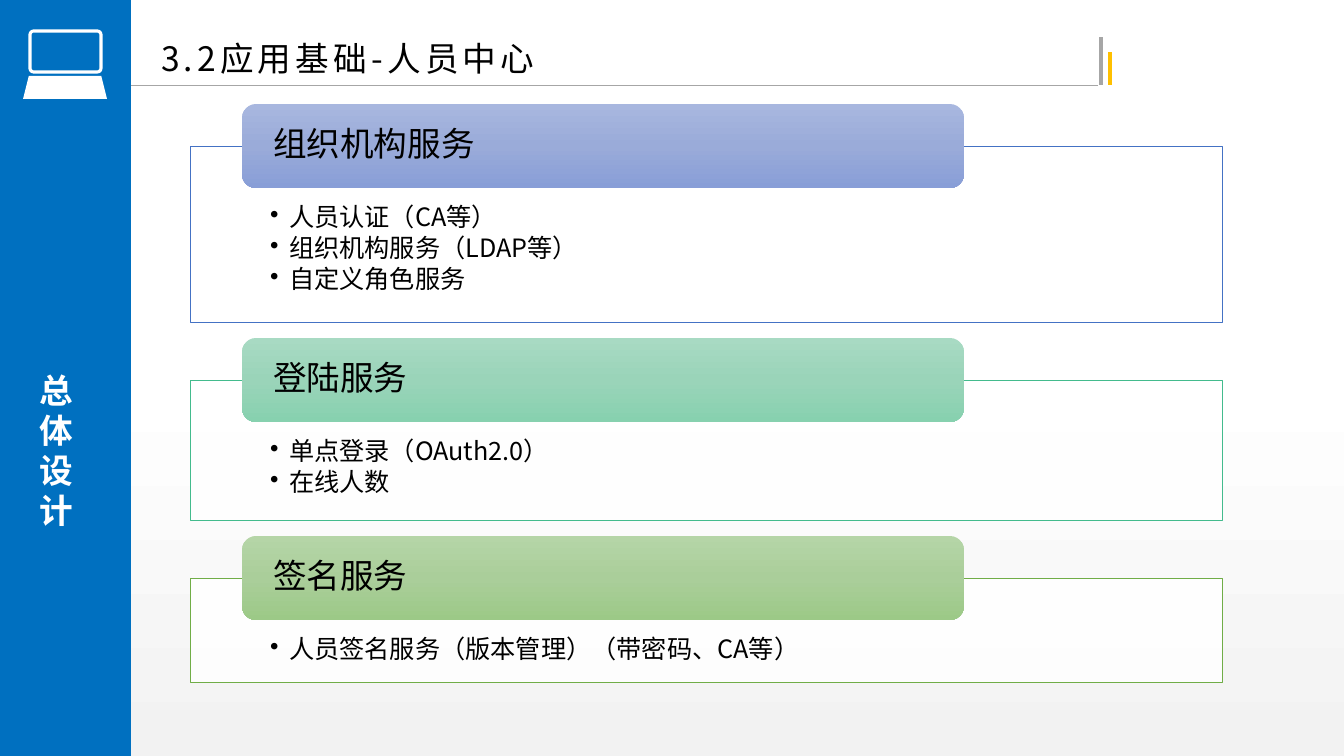
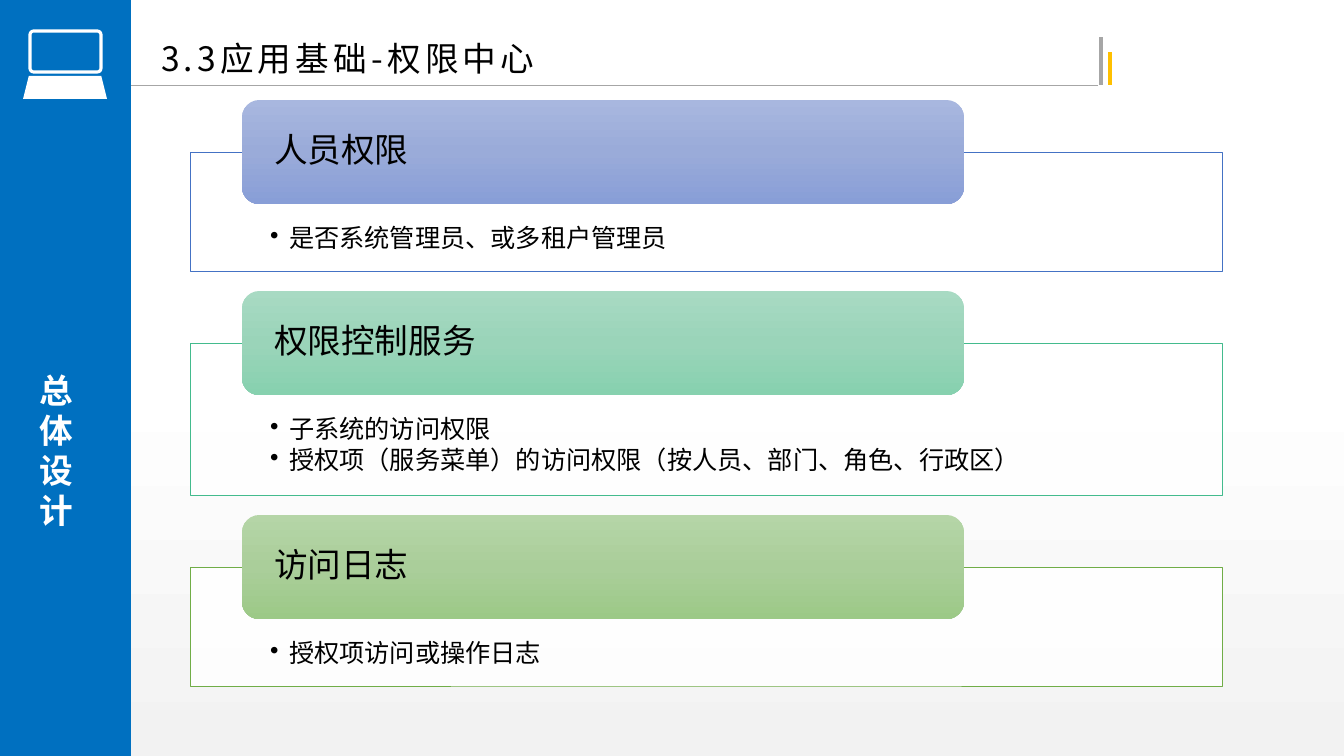
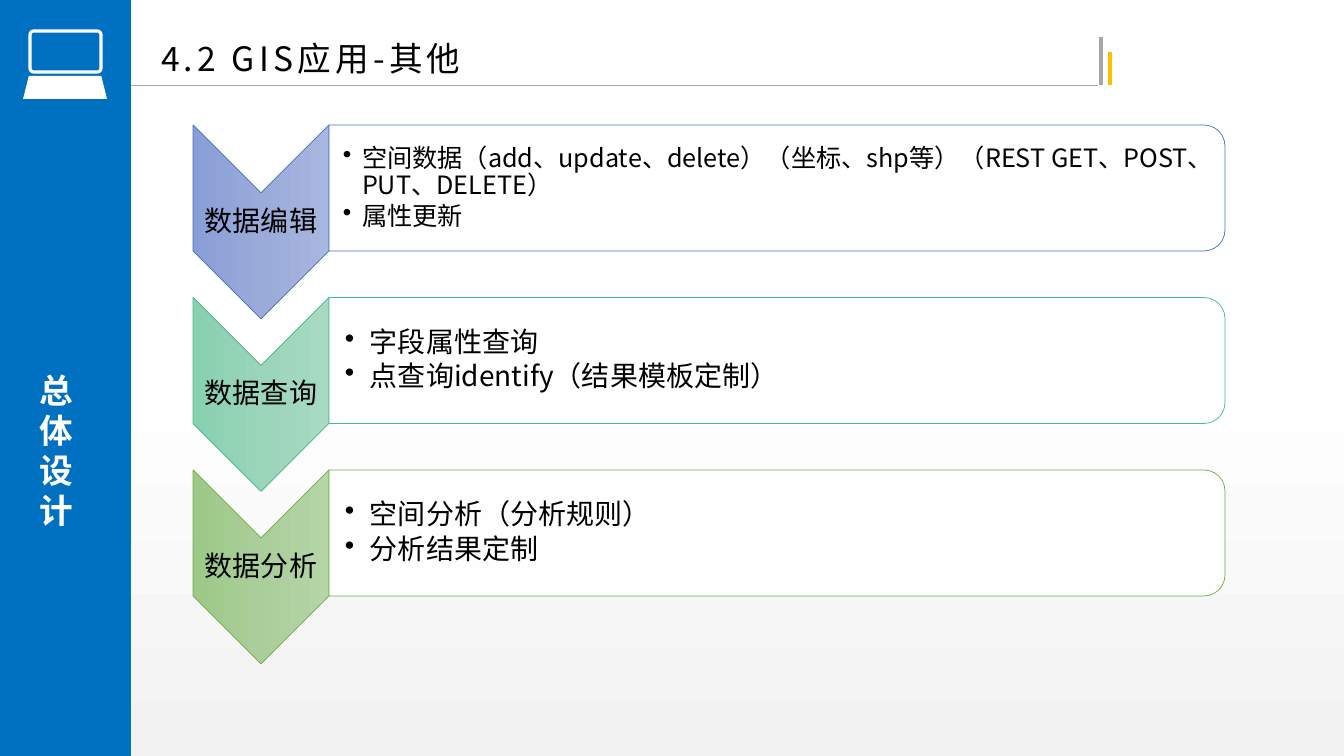
"""Build three slides on the overall design: personnel, permission and GIS services."""
from lxml.etree import SubElement
from pptx import Presentation
from pptx.dml.color import RGBColor
from pptx.enum.shapes import MSO_CONNECTOR as LINE, MSO_SHAPE as SHAPE
from pptx.enum.text import MSO_ANCHOR as ANCHOR, PP_ALIGN as ALIGN
from pptx.oxml.ns import qn
from pptx.util import Emu, Pt

PX = 914400 / 100.8
WIDTH, HEIGHT = 1344, 756
FONT = "Noto Sans CJK SC"
COLORS = {"bar": "0070C0", "white": "FFFFFF", "black": "000000", "gray": "A6A6A6", "gold": "FFC000"}
BACKDROP = [(0, "FFFFFF"), (50, "FFFFFF"), (100, "F2F2F2")]
THEMES = [
    {"line": "4472C4", "stops": [(0, "A8B7DF"), (50, "9AABD9"), (100, "889ED7")]},
    {"line": "43BB8D", "stops": [(0, "A8DAC3"), (50, "9AD4B9"), (100, "87D1AF")]},
    {"line": "70AD47", "stops": [(0, "B5D5A7"), (50, "AACE9A"), (100, "9CC987")]},
]
RULES = [
    ((0, 85, 1098, 85), "gray", 0.5),
    ((1101, 85, 1101, 37), "gray", 3),
    ((1110, 85, 1110, 52), "gold", 3),
]
SECTION = "总体设计"
BOX_SLIDES = [
    {
        "title": "3.2应用基础-人员中心",
        "layout": {"top": 104, "head": 84, "gap": 16, "base": 68, "row": 36, "inset": 59},
        "items": [
            ("组织机构服务", ["人员认证（CA等）", "组织机构服务（LDAP等）", "自定义角色服务"]),
            ("登陆服务", ["单点登录（OAuth2.0）", "在线人数"]),
            ("签名服务", ["人员签名服务（版本管理）（带密码、CA等）"]),
        ],
    },
    {
        "title": "3.3应用基础-权限中心",
        "layout": {"top": 100, "head": 104, "gap": 20, "base": 86, "row": 33, "inset": 74},
        "items": [
            ("人员权限", ["是否系统管理员、或多租户管理员"]),
            ("权限控制服务", ["子系统的访问权限", "授权项（服务菜单）的访问权限（按人员、部门、角色、行政区）"]),
            ("访问日志", ["授权项访问或操作日志"]),
        ],
    },
]
CHEVRON_TITLE = "4.2 GIS应用-其他"
SMALL = {"size": 18, "hang": 19, "inset": 14}
LARGE = {"size": 20, "hang": 25, "inset": 16}
CHEVRON_ITEMS = [
    ("数据编辑", SMALL, [
        "空间数据（add、update、delete）（坐标、shp等）（REST GET、POST、PUT、DELETE）",
        "属性更新",
    ]),
    ("数据查询", LARGE, ["字段属性查询", "点查询identify（结果模板定制）"]),
    ("数据分析", LARGE, ["空间分析（分析规则）", "分析结果定制"]),
]


def px(*values):
    return [Emu(round(v * PX)) for v in values]


def rgb(name):
    return RGBColor.from_string(COLORS.get(name, name))


def set_gradient(fill, element, stops):
    fill.gradient()
    fill.gradient_angle = 270
    stop_list = next(element.iter(qn("a:gsLst")))
    for old in list(stop_list):
        stop_list.remove(old)
    for pos, color in stops:
        stop = SubElement(stop_list, qn("a:gs"), pos=str(pos * 1000))
        SubElement(stop, qn("a:srgbClr"), val=color)


def add_shape(s, kind, box, fill, line=None, weight=0.5, turned=False, alpha=None):
    x, y, w, h = box
    if turned:
        x, y, w, h = x + (w - h) / 2, y + (h - w) / 2, h, w
    sp = s.shapes.add_shape(kind, *px(x, y, w, h))
    sp.shadow.inherit = False
    sp.rotation = 90 if turned else 0
    if isinstance(fill, list):
        set_gradient(sp.fill, sp._element, fill)
    else:
        sp.fill.solid()
        sp.fill.fore_color.rgb = rgb(fill)
    if alpha:
        color = next(sp._element.spPr.iter(qn("a:srgbClr")))
        SubElement(color, qn("a:alpha"), val=str(alpha * 1000))
    if line:
        sp.line.color.rgb = rgb(line)
        sp.line.width = Pt(weight)
    else:
        sp.line.fill.background()
    return sp


def write(sp, lines, size, color="black", bold=False, insets=(10, 5, 10, 5), anchor=ANCHOR.MIDDLE,
          align=ALIGN.LEFT, spacing=0.9, hang=0, tracking=0):
    tf = sp.text_frame
    left, top, right, bottom = px(*insets)
    frame = {"word_wrap": True, "vertical_anchor": anchor, "margin_left": left,
             "margin_top": top, "margin_right": right, "margin_bottom": bottom}
    for name, value in frame.items():
        setattr(tf, name, value)
    for i, text in enumerate(lines):
        p = tf.add_paragraph() if i else tf.paragraphs[0]
        if hang:
            pPr = p._p.get_or_add_pPr()
            pPr.set("marL", str(px(hang)[0]))
            pPr.set("indent", str(-px(hang)[0]))
            SubElement(pPr, qn("a:buChar"), char="•")
            p.space_after = Pt(size * 0.15)
        p.alignment, p.line_spacing = align, spacing
        r = p.add_run()
        r.text = text
        for name, value in {"size": Pt(size), "name": FONT, "bold": bold}.items():
            setattr(r.font, name, value)
        r.font.color.rgb = rgb(color)
        rPr = r._r.get_or_add_rPr()
        SubElement(rPr, qn("a:ea"), typeface=FONT)
        if tracking:
            rPr.set("spc", str(tracking * 100))


def add_text(s, box, lines, size, **style):
    sp = s.shapes.add_textbox(*px(*box))
    write(sp, lines, size, **style)
    return sp


def add_slide(prs, title):
    s = prs.slides.add_slide(prs.slide_layouts[6])
    set_gradient(s.background.fill, s._element, BACKDROP)
    for ends, color, weight in RULES:
        rule = s.shapes.add_connector(LINE.STRAIGHT, *px(*ends))
        rule.line.color.rgb = rgb(color)
        rule.line.width = Pt(weight)
        SubElement(rule._element.spPr, qn("a:effectLst"))
    add_shape(s, SHAPE.RECTANGLE, (0, 0, 131, HEIGHT), "bar")
    label = add_text(s, (29, 144, 73, 612), [SECTION], 24, color="white", bold=True, spacing=1.0)
    label.text_frame._txBody.bodyPr.set("vert", "wordArtVertRtl")
    screen = add_shape(s, SHAPE.ROUNDED_RECTANGLE, (30, 31, 71, 41), "bar", "white", 2.25)
    screen.adjustments[0] = 0.09
    add_shape(s, SHAPE.TRAPEZOID, (23, 76, 84, 23), "white")
    add_text(s, (151, 28, 688, 56), [title], 24, anchor=ANCHOR.BOTTOM, tracking=3)
    return s


def add_boxes(s, items, top, head, gap, base, row, inset):
    for theme, (heading, lines) in zip(THEMES, items):
        panel_top, panel_height = top + head // 2, base + row * len(lines)
        panel = add_shape(s, SHAPE.RECTANGLE, (190, panel_top, 1032, panel_height), "white",
                          theme["line"], alpha=90)
        write(panel, lines, 18, insets=(80, inset, 80, 14), anchor=ANCHOR.TOP, hang=19)
        tab = add_shape(s, SHAPE.ROUNDED_RECTANGLE, (242, top, 722, head), theme["stops"])
        write(tab, [heading], 24, insets=(27, 0, 27, 0))
        top = panel_top + panel_height + gap


def add_chevrons(s, items, top=125, step=172.5):
    for i, (theme, (heading, style, lines)) in enumerate(zip(THEMES, items)):
        y = top + i * step
        add_shape(s, SHAPE.CHEVRON, (193, y, 136, 194), theme["stops"], theme["line"], turned=True)
        add_text(s, (193, y + 68, 136, 58), [heading], 20, insets=(1, 1, 1, 1), align=ALIGN.CENTER)
        add_shape(s, SHAPE.ROUND_2_SAME_RECTANGLE, (329, y, 896, 126), "white", theme["line"],
                  turned=True, alpha=90)
        add_text(s, (329, y + 6, 890, 114), lines, style["size"],
                 insets=(style["inset"], 1, 1, 1), hang=style["hang"])


def main():
    prs = Presentation()
    prs.slide_width, prs.slide_height = px(WIDTH, HEIGHT)
    for page in BOX_SLIDES:
        add_boxes(add_slide(prs, page["title"]), page["items"], **page["layout"])
    add_chevrons(add_slide(prs, CHEVRON_TITLE), CHEVRON_ITEMS)
    prs.save("out.pptx")


if __name__ == "__main__":
    main()
